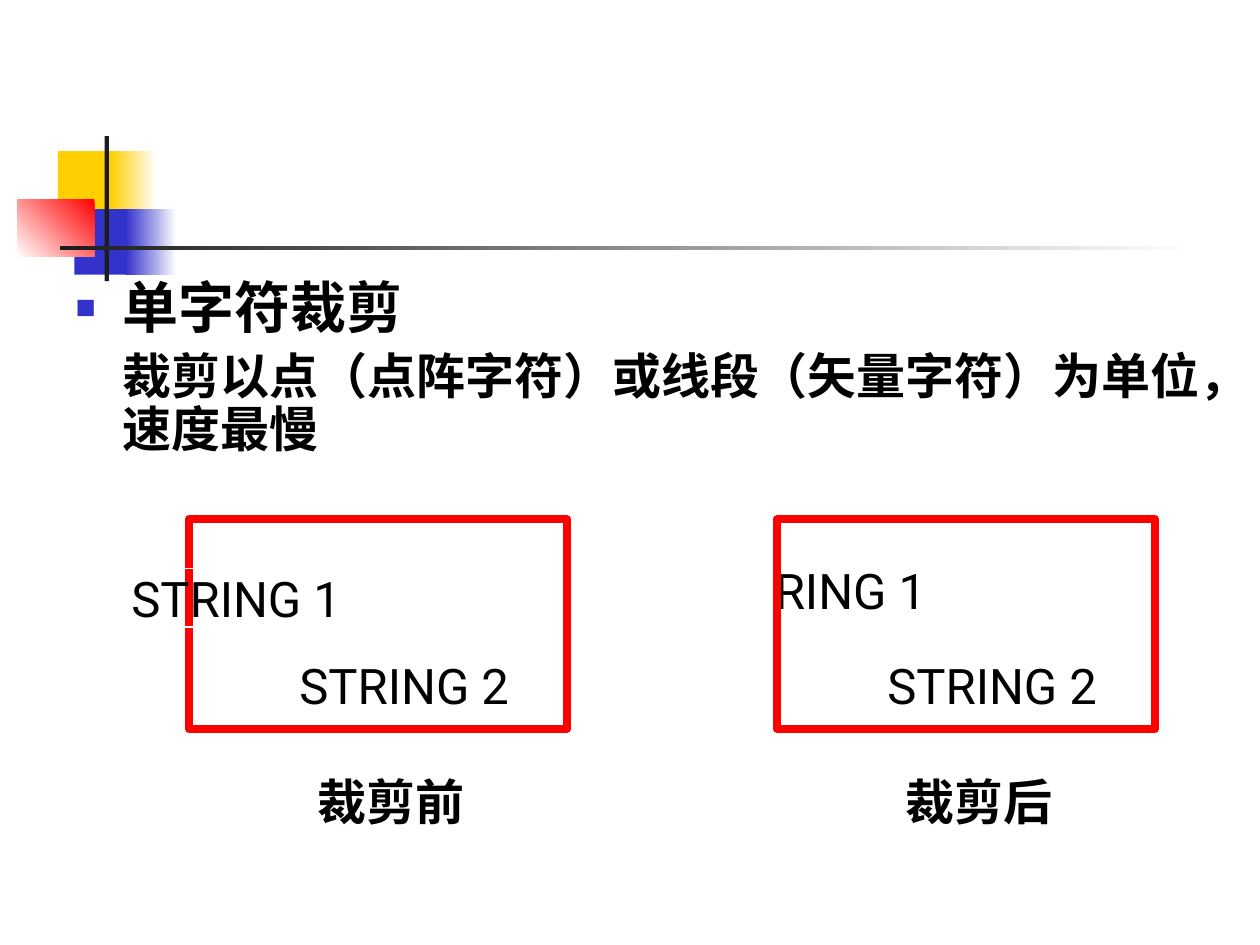
from typing import Any, NamedTuple

from lxml.etree import SubElement
from pptx import Presentation
from pptx.dml.color import RGBColor
from pptx.enum.dml import MSO_LINE as Dash
from pptx.enum.shapes import MSO_SHAPE as Kind
from pptx.enum.text import MSO_ANCHOR as Anchor, MSO_AUTO_SIZE as Fit, PP_ALIGN as Align
from pptx.oxml.ns import qn
from pptx.util import Pt

FONT = "Roboto"
WHITE, BLACK, RED = "FFFFFF", "000000", "FF0000"
GOLD, BLUE, DARK = "FFCF01", "3333CC", "1C1C1C"
PITCH = 336  # from the left panel to the right one
TIGHT = dict(margin_left=0, margin_top=0, margin_right=0, margin_bottom=0,
             vertical_anchor=Anchor.MIDDLE)


class Block(NamedTuple):
    x: float
    y: float
    w: float
    h: float
    hues: tuple[str, ...]
    angle: float = 0  # counter-clockwise


class Label(NamedTuple):
    text: str
    x: float
    y: float
    w: float
    dash: Any = Dash.SOLID


BLOCKS = [
    Block(33.12, 86.4, 34.5, 37.5, (GOLD,)),
    Block(63.36, 86.4, 26, 37.5, (WHITE, GOLD), 180),
    Block(42.5, 119.5, 33, 37.5, (BLUE,)),
    Block(72, 119.5, 28.8, 37.5, (WHITE, BLUE), 180),
    Block(10, 113.76, 44, 33, (RED, WHITE), 225),
    Block(59.76, 77.76, 2.5, 83, (DARK,)),
    Block(34.5, 140.4, 648, 2.5, (WHITE, DARK), 180),
]


def rgb(code: str) -> RGBColor:
    return RGBColor.from_string(code)


def style(item: Any, values: dict[str, Any]) -> None:
    for name, value in values.items():
        setattr(item, name, value)


def write(para: Any, text: str, size: float, bold: bool = False) -> None:
    run = para.add_run()
    run.text = text
    style(run.font, dict(name=FONT, size=Pt(size), bold=bold))
    run.font.color.rgb = rgb(BLACK)


def add_rect(shapes: Any, x: float, y: float, w: float, h: float) -> Any:
    rect = shapes.add_shape(Kind.RECTANGLE, Pt(x), Pt(y), Pt(w), Pt(h))
    rect.shadow.inherit = False
    rect.fill.background()
    return rect


def add_block(shapes: Any, block: Block) -> None:
    rect = add_rect(shapes, *block[:4])
    rect.line.fill.background()
    if len(block.hues) == 1:
        rect.fill.solid()
        rect.fill.fore_color.rgb = rgb(block.hues[0])
        return
    rect.fill.gradient()
    rect.fill.gradient_angle = block.angle
    for stop, hue, place in zip(rect.fill.gradient_stops, block.hues, (0, 1)):
        stop.color.rgb = rgb(hue)
        stop.position = place


def add_frame(shapes: Any, x: float) -> None:
    frame = add_rect(shapes, x, 296.64, 216, 120)
    frame.line.color.rgb = rgb(RED)
    frame.line.width = Pt(4.5)


def fill_text(shape: Any, text: str, wrap: bool, bold: bool = False) -> None:
    style(shape.text_frame, TIGHT | dict(word_wrap=wrap))
    para = shape.text_frame.paragraphs[0]
    para.alignment = Align.CENTER
    write(para, text, 28, bold)


def add_label(shapes: Any, label: Label) -> None:
    rect = add_rect(shapes, label.x, label.y, label.w, 33.6)
    rect.line.color.rgb = rgb(WHITE)
    style(rect.line, dict(width=Pt(0.75), dash_style=label.dash))
    fill_text(rect, label.text, True)


def add_caption(shapes: Any, text: str, x: float) -> None:
    box = shapes.add_textbox(Pt(x), Pt(440.64), Pt(84), Pt(33.6))
    fill_text(box, text, False, True)


def add_body(body: Any) -> None:
    style(body, dict(left=Pt(36), top=Pt(156.24), width=Pt(660), height=Pt(114)))
    frame = body.text_frame
    frame.auto_size = Fit.NONE
    head, note = frame.paragraphs[0], frame.add_paragraph()
    for para, indent in ((head, -27), (note, 0)):
        props = para._p.get_or_add_pPr()
        props.set("marL", str(Pt(27)))
        props.set("indent", str(Pt(indent)))
        para.line_spacing = 0.9
    head.space_before, note.space_before = Pt(0), Pt(7)

    props = head._p.pPr
    hue = SubElement(props, qn("a:buClr"))
    SubElement(hue, qn("a:srgbClr"), val=BLUE)
    SubElement(props, qn("a:buSzPct"), val="60000")
    SubElement(props, qn("a:buChar"), char="■")
    SubElement(note._p.pPr, qn("a:buNone"))

    write(head, "单字符裁剪", 32, True)
    write(note, "裁剪以点（点阵字符）或线段（矢量字符）为单位，速度最慢", 28, True)


def main() -> None:
    deck = Presentation()
    style(deck, dict(slide_width=Pt(720), slide_height=Pt(540)))
    slide = deck.slides.add_slide(deck.slide_layouts[1])
    title, body = slide.placeholders
    title.element.getparent().remove(title.element)

    for block in BLOCKS:
        add_block(slide.shapes, block)
    # Bring the list in front of the decoration
    slide.shapes.element.append(body.element)
    add_body(body)

    before = slide.shapes.add_group_shape().shapes
    add_frame(before, 108)
    add_caption(before, "裁剪前", 181.5)
    add_label(before, Label("STRING 1", 66, 324.72, 138))
    add_label(before, Label("STRING 2", 162, 374.4, 138, Dash.ROUND_DOT))

    after = slide.shapes.add_group_shape().shapes
    add_label(after, Label("RING 1", 438, 320.4, 96))
    add_caption(after, "裁剪后", 181.5 + PITCH)
    add_label(after, Label("STRING 2", 162 + PITCH, 374.4, 138))
    add_frame(after, 108 + PITCH)

    deck.save("out.pptx")


if __name__ == "__main__":
    main()
